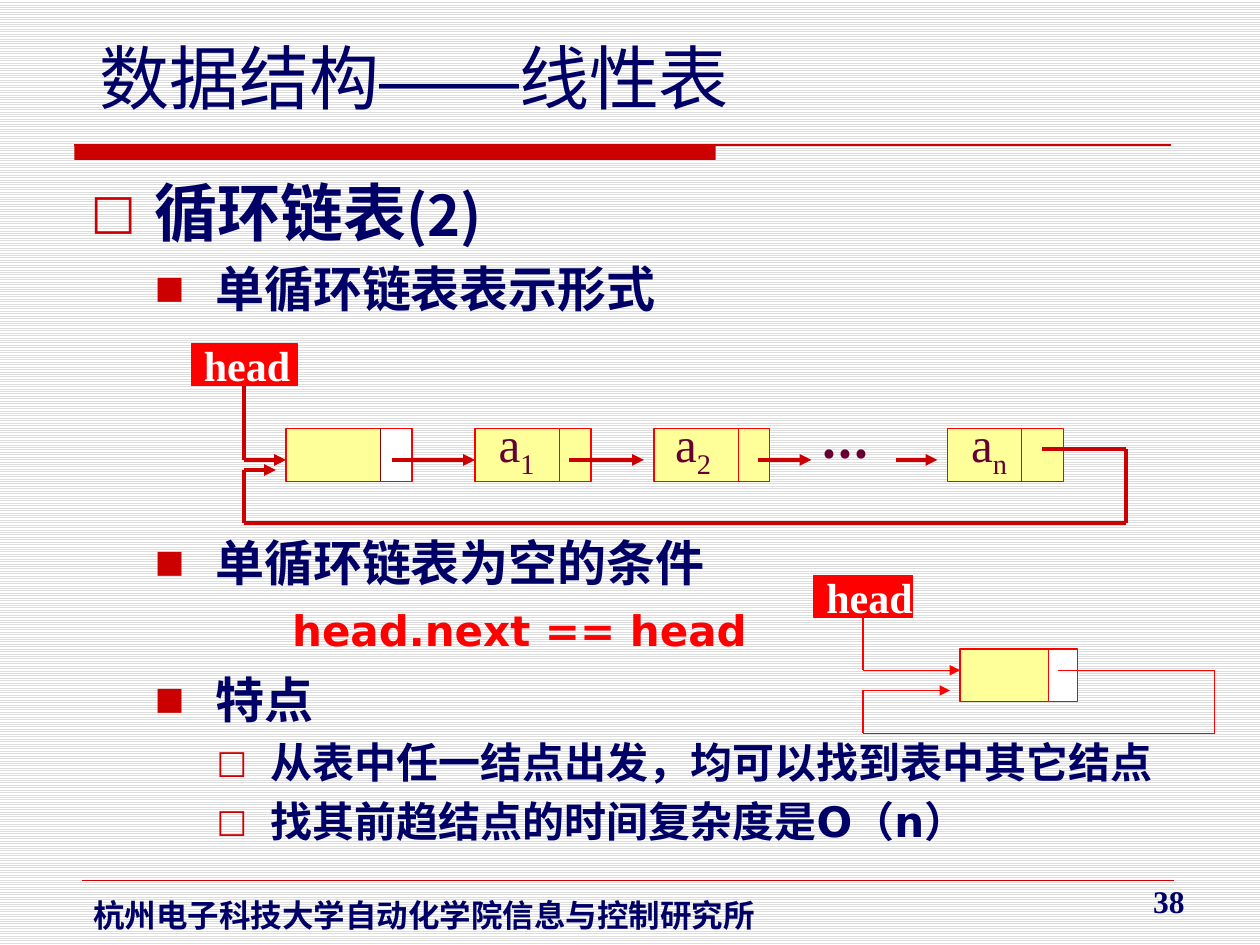
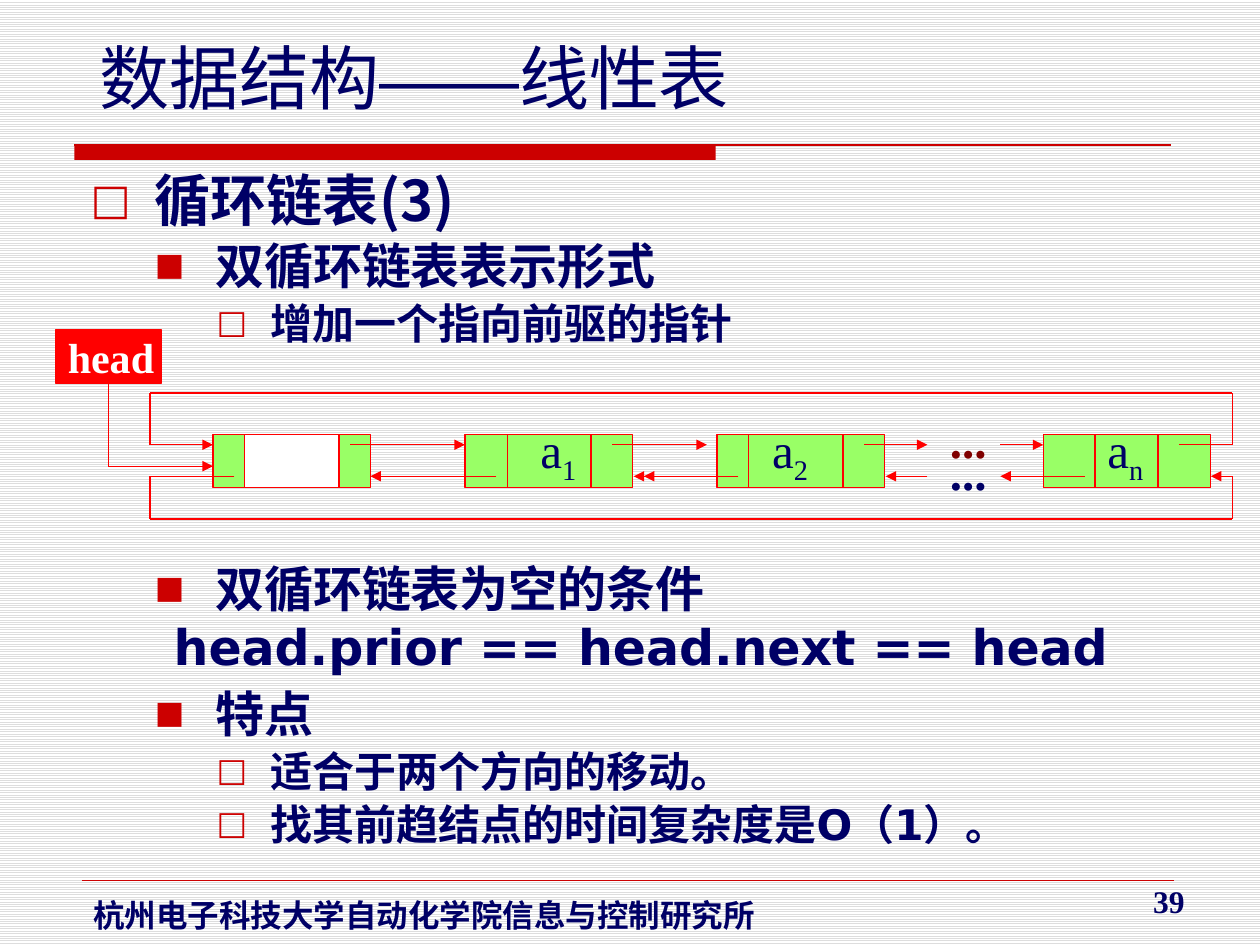
from dataclasses import dataclass

from lxml.etree import SubElement
from pptx import Presentation
from pptx.dml.color import RGBColor
from pptx.enum.dml import MSO_PATTERN
from pptx.enum.shapes import MSO_CONNECTOR, MSO_SHAPE
from pptx.enum.text import MSO_ANCHOR, MSO_AUTO_SIZE, PP_ALIGN
from pptx.oxml.ns import qn
from pptx.util import Inches, Pt

# Shared style
NAVY, CRIMSON, RED, WHITE = "000066", "CC0000", "FF0000", "FFFFFF"
YELLOW, GREEN, PLUM, MAROON = "FFFF99", "99FF66", "660033", "800000"
SANS, CJK, SERIF, ARIAL = "DejaVu Sans", "Noto Sans CJK SC", "Times New Roman", "Arial"
LINE_FACTOR = 1.3
NODE_H = 0.42
FORMULA = -1

Point = tuple[float, float]


@dataclass(frozen=True)
class Level:
    margin: float
    hanging: float
    bullet: str
    bullet_pct: int


LEVELS = [Level(0.51, 0.51, "□", 76), Level(0.99, 0.48, "■", 64),
          Level(1.43, 0.43, "□", 77)]


@dataclass(frozen=True)
class Row:
    """One outline paragraph; gap is the space before it in points."""
    text: str
    level: int
    size: float
    gap: float = 2.4
    color: str = NAVY
    margin: float = 0
    suffix: str = ""


@dataclass(frozen=True)
class Node:
    """A list node; dividers and label are offsets from its left edge."""
    left: float
    width: float
    dividers: tuple[float, ...]
    subscript: str
    label_dx: float


def rgb(value: str) -> RGBColor:
    return RGBColor.from_string(value)


# Text
def add_run(p, text: str, size: float, color: str = NAVY, font: str = SERIF,
            bold: bool = False, east: str = CJK):
    r = p.add_run()
    r.text = text
    r.font.size, r.font.bold, r.font.name = Pt(size), bold, font
    r.font.color.rgb = rgb(color)
    SubElement(r._r.get_or_add_rPr(), qn("a:ea"), typeface=east)
    return r


def add_box(s, left: float, top: float, width: float, height: float,
            wrap: bool = False, anchor=MSO_ANCHOR.TOP):
    tf = s.shapes.add_textbox(Inches(left), Inches(top), Inches(width),
                              Inches(height)).text_frame
    tf.word_wrap, tf.vertical_anchor = wrap, anchor
    return tf


def add_bullet(p, level: Level) -> None:
    pPr = p._p.get_or_add_pPr()
    color = SubElement(pPr, qn("a:buClr"))
    SubElement(color, qn("a:srgbClr"), val=CRIMSON)
    SubElement(pPr, qn("a:buSzPct"), val=str(level.bullet_pct * 1000))
    SubElement(pPr, qn("a:buFont"), typeface=SANS)
    SubElement(pPr, qn("a:buChar"), char=level.bullet)


def add_outline(s, rows: list[Row], scale: float = 1) -> None:
    tf = add_box(s, 0.62, 1.28, 8.75, 5.69, wrap=True)
    for i, row in enumerate(rows):
        p = tf.paragraphs[0] if i == 0 else tf.add_paragraph()
        p.line_spacing = Pt(row.size * LINE_FACTOR * scale)
        p.space_before = Pt(row.gap if i else 0)
        pPr = p._p.get_or_add_pPr()
        if row.level == FORMULA:
            pPr.set("marL", str(Inches(row.margin)))
            pPr.set("indent", "0")
        else:
            level = LEVELS[row.level]
            pPr.set("lvl", str(row.level))
            pPr.set("marL", str(Inches(level.margin)))
            pPr.set("indent", str(-Inches(level.hanging)))
            add_bullet(p, level)
        font = CJK if row.level == 0 else SANS
        add_run(p, row.text, row.size, row.color, font, bold=True)
        if row.suffix:
            add_run(p, row.suffix, 32, row.color, font, bold=True)


# Shapes and lines
def add_rect(s, left: float, top: float, width: float, height: float,
             fill: str, line: str | None = RED):
    sp = s.shapes.add_shape(MSO_SHAPE.RECTANGLE, Inches(left), Inches(top),
                            Inches(width), Inches(height))
    sp.shadow.inherit = False
    sp.fill.solid()
    sp.fill.fore_color.rgb = rgb(fill)
    if line:
        sp.line.color.rgb = rgb(line)
        sp.line.width = Pt(0.75)
    else:
        sp.line.fill.background()
    return sp


def add_line(s, start: Point, end: Point, color: str = RED,
             width: float = 0.75, arrow: bool = False):
    c = s.shapes.add_connector(MSO_CONNECTOR.STRAIGHT,
                               *(Inches(v) for v in (*start, *end)))
    c.line.color.rgb = rgb(color)
    c.line.width = Pt(width)
    if arrow:
        SubElement(c.line._get_or_add_ln(), qn("a:tailEnd"), type="triangle")
    SubElement(c._element.spPr, qn("a:effectLst"))
    return c


def add_wire(s, points: list[Point], color: str = RED, width: float = 0.75,
             source=None) -> None:
    """Draw joined segments ending in an arrow, leaving source's bottom side."""
    last = len(points) - 2
    for i, (start, end) in enumerate(zip(points, points[1:])):
        c = add_line(s, start, end, color, width, arrow=i == last)
        if i == 0 and source is not None:
            c.begin_connect(source, 2)


def add_head(s, left: float, top: float, width: float, height: float):
    sp = add_rect(s, left, top, width, height, RED)
    tf = sp.text_frame
    tf.word_wrap, tf.vertical_anchor = False, MSO_ANCHOR.MIDDLE
    tf.margin_left, tf.margin_right = Inches(0.1), 0
    tf.margin_top = tf.margin_bottom = 0
    p = tf.paragraphs[0]
    p.alignment = PP_ALIGN.LEFT
    add_run(p, "head", 24, WHITE, bold=True)
    return sp


def add_nodes(s, nodes: list[Node], top: float, label_top: float,
              fill: str, color: str) -> None:
    for node in nodes:
        add_rect(s, node.left, top, node.width, NODE_H, fill)
        for dx in node.dividers:
            x = node.left + dx
            add_line(s, (x, top), (x, top + NODE_H))
        p = add_box(s, node.left + node.label_dx, label_top, 0.51, 0.57).paragraphs[0]
        add_run(p, "a", 28, color)
        sub = add_run(p, node.subscript, 28, color)
        sub._r.get_or_add_rPr().set("baseline", "-25000")


def add_dots(s, left: float, top: float, width: float, color: str, font: str) -> None:
    tf = add_box(s, left, top, width, 0.57, anchor=MSO_ANCHOR.MIDDLE)
    add_run(tf.paragraphs[0], "...", 28, color, font, bold=True)


# Slide frame: background, title, band, footer
def new_slide(prs, number: int):
    s = prs.slides.add_slide(prs.slide_layouts[5])
    fill = s.background.fill
    fill.patterned()
    fill.pattern = MSO_PATTERN.LIGHT_HORIZONTAL
    fill.fore_color.rgb, fill.back_color.rgb = rgb("DDDDDD"), rgb(WHITE)

    title = s.shapes.title
    title.left, title.top = Inches(0.69), Inches(0.22)
    title.width, title.height = Inches(5.2), Inches(0.77)
    tf = title.text_frame
    tf.word_wrap, tf.auto_size = False, MSO_AUTO_SIZE.NONE
    tf.vertical_anchor = MSO_ANCHOR.TOP
    p = tf.paragraphs[0]
    p.alignment = PP_ALIGN.LEFT
    add_run(p, "数据结构", 40, font=SANS)
    add_run(p, "——", 40, font=ARIAL, east=ARIAL)
    add_run(p, "线性表", 40, font=SANS)

    add_rect(s, 0.59, 1.15, 5.09, 0.12, CRIMSON, line=None)
    add_line(s, (0.59, 1.15), (9.29, 1.15), CRIMSON)
    add_line(s, (0.65, 6.99), (9.32, 6.99), CRIMSON, 0.25)
    footer = add_box(s, 0.64, 7.06, 5.5, 0.4)
    add_run(footer.paragraphs[0], "杭州电子科技大学自动化学院信息与控制研究所", 18, bold=True)
    p = add_box(s, 7.17, 6.95, 2.33, 0.4, True, MSO_ANCHOR.MIDDLE).paragraphs[0]
    p.alignment = PP_ALIGN.RIGHT
    add_run(p, str(number), 18, bold=True)
    return s


def build_single_list(prs) -> None:
    s = new_slide(prs, 38)
    add_outline(s, [
        Row("循环链表", 0, 36, suffix="(2)"),
        Row("单循环链表表示形式", 1, 28),
        Row("单循环链表为空的条件", 1, 28, gap=120),
        Row("head.next == head", FORMULA, 24, gap=5.5, color=RED, margin=1.6),
        Row("特点", 1, 28, gap=5.5),
        Row("从表中任一结点出发，均可以找到表中其它结点", 2, 24),
        Row("找其前趋结点的时间复杂度是O（n）", 2, 24),
    ])

    # Circular list with n nodes
    top, mid = 3.4, 3.65
    head = add_head(s, 1.52, 2.73, 0.84, 0.33)
    add_rect(s, 2.27, top, 0.75, NODE_H, YELLOW)
    add_rect(s, 3.02, top, 0.25, NODE_H, WHITE)
    add_line(s, (3.02, top), (3.02, top + NODE_H), MAROON)
    add_nodes(s, [Node(3.77, 0.92, (0.67,), "1", 0.09),
                  Node(5.19, 0.92, (0.67,), "2", 0.07),
                  Node(7.52, 0.92, (0.59,), "n", 0.09)], top, 3.23, YELLOW, PLUM)
    add_dots(s, 6.42, 3.2, 0.79, PLUM, CJK)
    add_wire(s, [(1.94, 3.06), (1.94, mid), (2.27, mid)], CRIMSON, 2.25, head)
    for x1, x2 in [(3.11, 3.77), (4.52, 5.11), (6.02, 6.44), (7.11, 7.44)]:
        add_wire(s, [(x1, mid), (x2, mid)], CRIMSON, 2.25)
    add_wire(s, [(8.27, 3.56), (8.94, 3.56), (8.94, 4.15), (1.94, 4.15),
                 (1.94, 3.73), (2.19, 3.73)], CRIMSON, 2.25)

    # Empty circular list
    head = add_head(s, 6.46, 4.57, 0.78, 0.33)
    add_rect(s, 7.62, 5.15, 0.7, NODE_H, YELLOW)
    add_rect(s, 8.32, 5.15, 0.23, NODE_H, WHITE)
    add_wire(s, [(6.85, 4.9), (6.85, 5.32), (7.62, 5.32)], source=head)
    add_wire(s, [(8.4, 5.32), (9.64, 5.32), (9.64, 5.82), (6.85, 5.82),
                 (6.85, 5.48), (7.54, 5.48)])


def build_double_list(prs) -> None:
    s = new_slide(prs, 39)
    add_outline(s, [
        Row("循环链表(3)", 0, 32),
        Row("双循环链表表示形式", 1, 28),
        Row("增加一个指向前驱的指针", 2, 24),
        Row("双循环链表为空的条件", 1, 28, gap=121),
        Row("head.prior == head.next == head", FORMULA, 28, gap=0.5, margin=0.66),
        Row("特点", 1, 28, gap=5.5),
        Row("适合于两个方向的移动。", 2, 24),
        Row("找其前趋结点的时间复杂度是O（1）。", 2, 24),
    ], scale=0.9)

    # Head node and data nodes
    top, next_y, prior_y = 3.45, 3.53, 3.78
    head = add_head(s, 0.44, 2.62, 0.84, 0.42)
    for left, width, fill in [(1.94, 0.75, WHITE), (2.69, 0.25, GREEN),
                              (1.69, 0.25, GREEN)]:
        add_rect(s, left, top, width, NODE_H, fill)
    add_nodes(s, [Node(3.69, 1.33, (0.34, 1.0), "1", 0.5),
                  Node(5.69, 1.33, (0.25, 1.0), "2", 0.34),
                  Node(8.28, 1.33, (0.41, 0.91), "n", 0.41)], top, 3.28, GREEN, NAVY)
    add_dots(s, 7.44, 3.2, 0.49, MAROON, SERIF)
    add_dots(s, 7.44, 3.45, 0.49, NAVY, SERIF)

    # Forward and backward pointers
    for x1, x2 in [(2.78, 3.69), (4.86, 5.61), (6.86, 7.36), (7.94, 8.28)]:
        add_wire(s, [(x1, next_y), (x2, next_y)])
    for x1, x2 in [(3.94, 2.94), (5.86, 5.03), (5.78, 5.11), (7.36, 7.03),
                   (8.61, 7.94)]:
        add_wire(s, [(x1, prior_y), (x2, prior_y)])

    # Head pointer and the two closing loops
    add_wire(s, [(0.86, 3.04), (0.86, 3.7), (1.69, 3.7)], source=head)
    add_wire(s, [(9.36, next_y), (9.78, next_y), (9.78, 3.12), (1.19, 3.12),
                 (1.19, next_y), (1.69, next_y)])
    add_wire(s, [(1.86, prior_y), (1.19, prior_y), (1.19, 4.12), (9.78, 4.12),
                 (9.78, prior_y), (9.61, prior_y)])


def main() -> None:
    prs = Presentation()
    prs.slide_width, prs.slide_height = Inches(10), Inches(7.5)
    build_single_list(prs)
    build_double_list(prs)
    prs.save("out.pptx")


if __name__ == "__main__":
    main()
